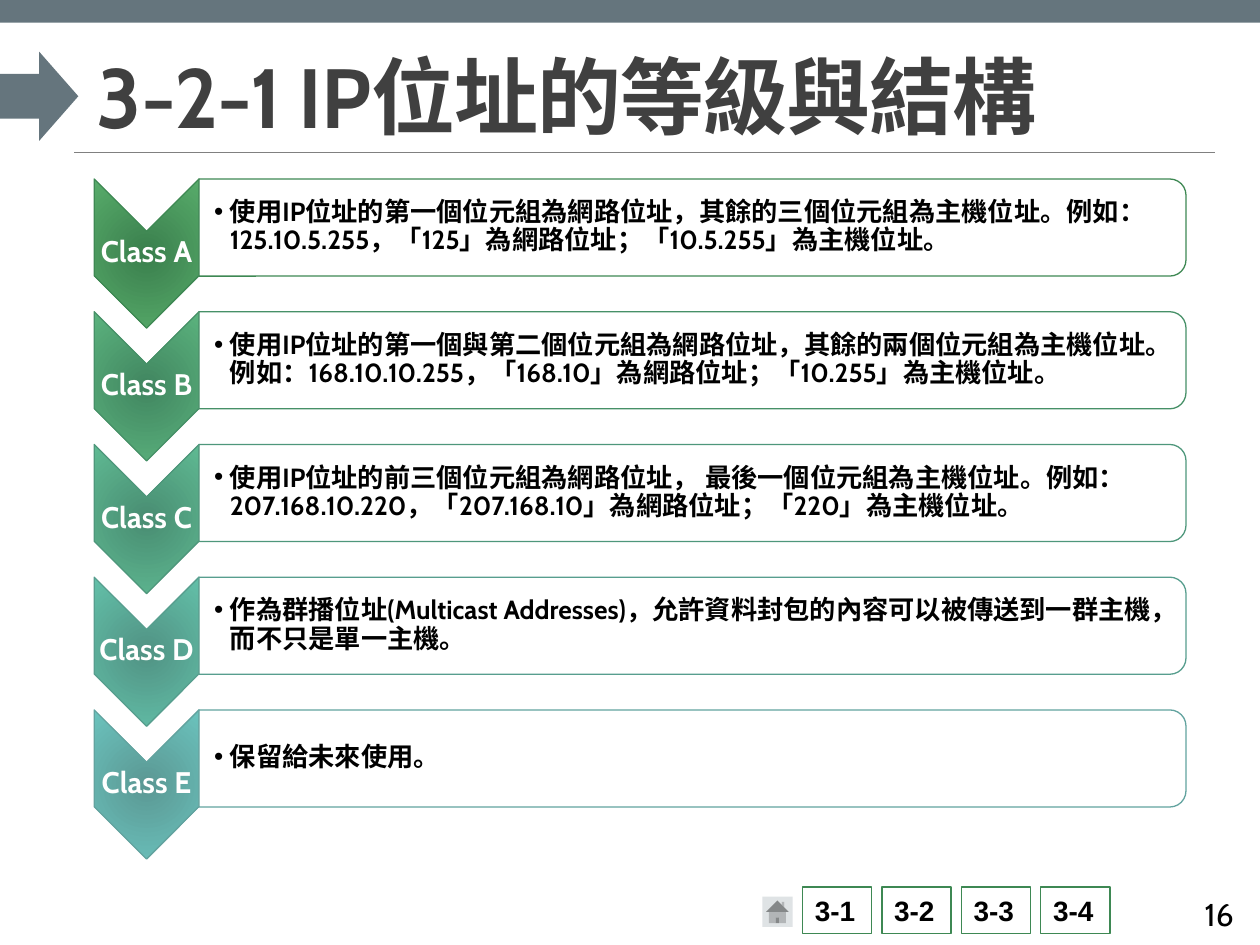
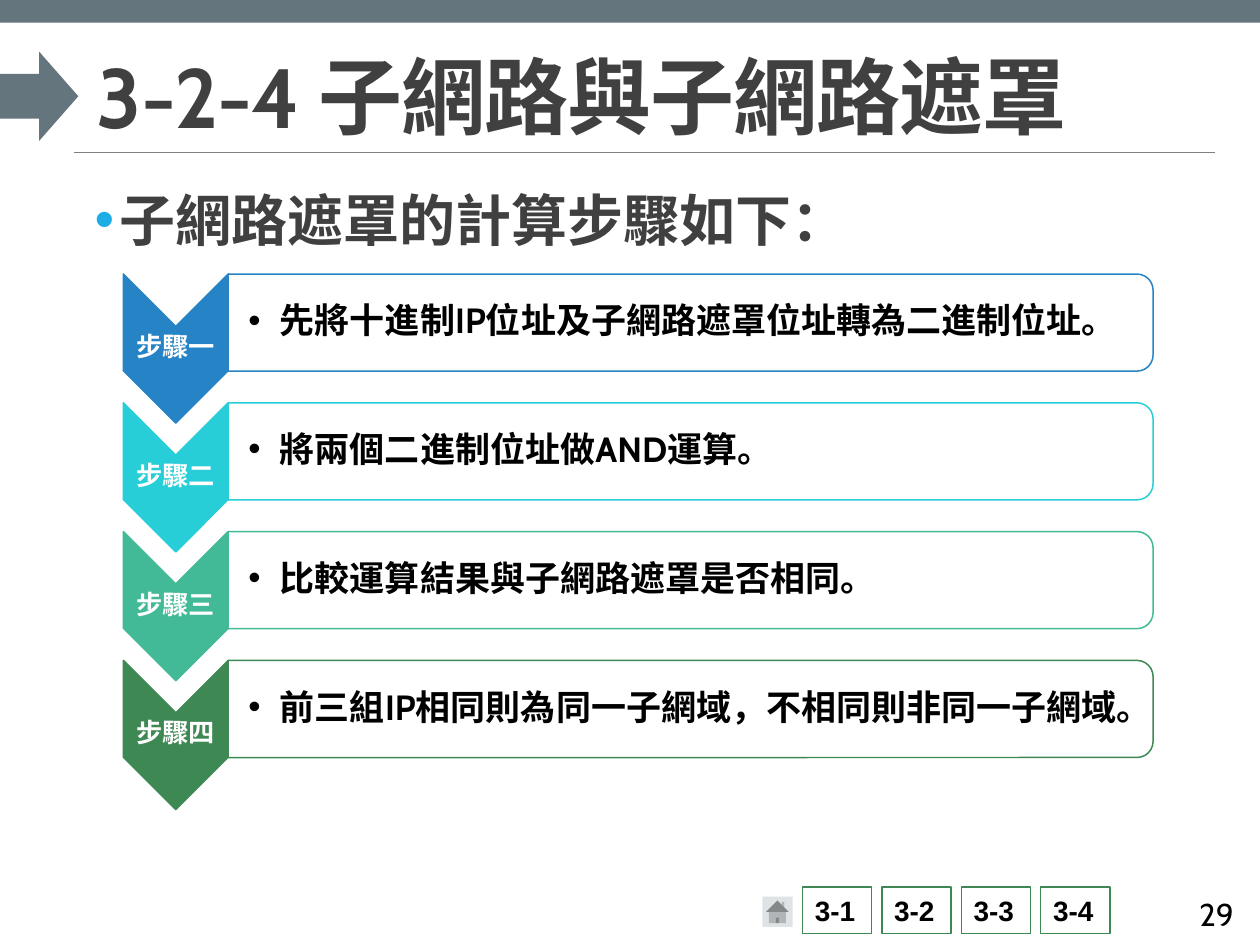
from dataclasses import dataclass

from lxml import etree
from pptx import Presentation
from pptx.dml.color import RGBColor
from pptx.enum.shapes import MSO_CONNECTOR, MSO_SHAPE
from pptx.enum.text import MSO_ANCHOR, MSO_AUTO_SIZE, PP_ALIGN
from pptx.oxml.ns import qn
from pptx.util import Pt

RECT, ARROW = MSO_SHAPE.RECTANGLE, MSO_SHAPE.RIGHT_ARROW
HOME, CHEVRON = MSO_SHAPE.ACTION_BUTTON_HOME, MSO_SHAPE.CHEVRON
ROUNDED_END = MSO_SHAPE.ROUND_2_SAME_RECTANGLE
STRAIGHT = MSO_CONNECTOR.STRAIGHT
LEFT, CENTER, RIGHT, JUSTIFY = PP_ALIGN.LEFT, PP_ALIGN.CENTER, PP_ALIGN.RIGHT, PP_ALIGN.JUSTIFY
TOP, MIDDLE, BOTTOM = MSO_ANCHOR.TOP, MSO_ANCHOR.MIDDLE, MSO_ANCHOR.BOTTOM
NO_FIT = MSO_AUTO_SIZE.NONE
TITLE_ONLY, TITLE_AND_BODY = 5, 1


@dataclass(frozen=True)
class Theme:
    font: str = "Cabin"
    nav_font: str = "Arial"
    ink: str = "000000"
    heading: str = "404040"
    paper: str = "FFFFFF"
    band: str = "65757D"
    rule: str = "808080"
    home: str = "DFE3E5"
    green: str = "3E8853"
    bullet: str = "1CADE4"
    title_size: float = 48
    lead_size: float = 32
    page_size: float = 18
    nav_size: float = 16


@dataclass(frozen=True)
class ListStyle:
    label_size: float
    detail_size: float
    inset: float
    indent: float
    outline: float


THEME = Theme()
CLASS_STYLE = ListStyle(17, 15, 8.64, 9, 0.75)
STEP_STYLE = ListStyle(15, 20, 11.5, 18, 0.85)

CLASSES = [
    ("Class A", "使用IP位址的第一個位元組為網路位址，其餘的三個位元組為主機位址。例如：125.10.5.255，「125」為網路位址；「10.5.255」為主機位址。",
     "3E8853", ("3A7F4D", "58AC6B")),
    ("Class B", "使用IP位址的第一個與第二個位元組為網路位址，其餘的兩個位元組為主機位址。例如：168.10.10.255，「168.10」為網路位址；「10.255」為主機位址。",
     "469067", ("418660", "5BB37E")),
    ("Class C", "使用IP位址的前三個位元組為網路位址， 最後一個位元組為主機位址。例如：207.168.10.220，「207.168.10」為網路位址；「220」為主機位址。",
     "4E977B", ("498D72", "5FBA93")),
    ("Class D", "作為群播位址(Multicast Addresses)，允許資料封包的內容可以被傳送到一群主機，而不只是單一主機。",
     "579E8E", ("519384", "63C0A9")),
    ("Class E", "保留給未來使用。", "62A39F", ("5B9894", "6BC3BD")),
]
STEPS = [
    ("步驟一", "先將十進制IP位址及子網路遮罩位址轉為二進制位址。", "2683C6", None),
    ("步驟二", "將兩個二進制位址做AND運算。", "27CED7", None),
    ("步驟三", "比較運算結果與子網路遮罩是否相同。", "42BA97", None),
    ("步驟四", "前三組IP相同則為同一子網域，不相同則非同一子網域。", "3E8853", None),
]


def apply(target, values):
    for name, value in values.items():
        setattr(target, name, value)


def place(item, box):
    apply(item, dict(zip(("left", "top", "width", "height"), map(Pt, box))))


def write(frame, text, size, color, bold=True, font=THEME.font, align=LEFT,
          anchor=MIDDLE, insets=(7.2, 3.6, 7.2, 3.6), **spacing):
    sides = ("margin_left", "margin_top", "margin_right", "margin_bottom")
    apply(frame, {"word_wrap": True, "auto_size": NO_FIT, "vertical_anchor": anchor,
                  **dict(zip(sides, map(Pt, insets)))})
    paragraph = frame.paragraphs[0]
    apply(paragraph, {"alignment": align, "space_before": Pt(0), "space_after": Pt(0), **spacing})
    run = paragraph.add_run()
    run.text = text
    apply(run.font, {"name": font, "size": Pt(size), "bold": bold})
    run.font.color.rgb = RGBColor.from_string(color)
    return paragraph


def add_bullet(paragraph, indent, color):
    props = paragraph._p.get_or_add_pPr()
    props.set("marL", str(Pt(indent)))
    props.set("indent", str(-Pt(indent)))
    tint = etree.SubElement(props, qn("a:buClr"))
    etree.SubElement(tint, qn("a:srgbClr"), val=color)
    etree.SubElement(props, qn("a:buFont"), typeface="Arial")
    etree.SubElement(props, qn("a:buChar"), char="•")


def add_block(slide, preset, box, fill, line=None, weight=0.85):
    block = slide.shapes.add_shape(preset, *map(Pt, box))
    block.shadow.inherit = False
    block.fill.solid()
    block.fill.fore_color.rgb = RGBColor.from_string(fill)
    if line:
        block.line.color.rgb = RGBColor.from_string(line)
        block.line.width = Pt(weight)
    else:
        block.line.fill.background()
    return block


def add_turned(slide, preset, box, *colors):
    left, top, width, height = box
    shift = (width - height) / 2
    turned = add_block(slide, preset, (left + shift, top - shift, height, width), *colors)
    turned.rotation = 90
    return turned


def add_text(slide, box, *args, **kwargs):
    return write(slide.shapes.add_textbox(*map(Pt, box)).text_frame, *args, **kwargs)


def shade_from_center(block, tones):
    block.fill.gradient()
    for stop, tone in zip(block.fill.gradient_stops, tones):
        stop.color.rgb = RGBColor.from_string(tone)
    gradient = block._element.spPr.find(qn("a:gradFill"))
    gradient.remove(gradient.find(qn("a:lin")))
    rings = etree.SubElement(gradient, qn("a:path"), {"path": "circle"})
    etree.SubElement(rings, qn("a:fillToRect"), {side: "100000" for side in "ltrb"})


def draw_header(slide, title, box=(0, 0, 720, 88)):
    left, top, width, height = box
    add_block(slide, RECT, (left, top, width, 13), THEME.band)
    add_block(slide, ARROW, (left, top + 29.5, 44.8, 51), THEME.band)
    rule_y = Pt(top + height - 0.8)
    rule = slide.shapes.add_connector(STRAIGHT, Pt(left + 42.5), rule_y, Pt(left + 694.5), rule_y)
    rule.line.color.rgb = RGBColor.from_string(THEME.rule)
    rule.line.width = Pt(0.5)
    etree.SubElement(rule._element.spPr, qn("a:effectLst"))
    heading = slide.shapes.title
    place(heading, (left + 48.2, top + 22.3, 646.6, 64.8))
    paragraph = write(heading.text_frame, title, THEME.title_size, THEME.heading,
                      anchor=BOTTOM, line_spacing=0.85)
    paragraph.runs[0]._r.get_or_add_rPr().set("spc", "-50")


def draw_footer(slide, page, box=(435.6, 506.9, 276.5, 28.8)):
    left, top, width, height = box
    add_block(slide, HOME, (left, top + 5.5, 17.3, 17.3), THEME.home)
    for index in range(4):
        section = add_block(slide, RECT, (left + 22.9 + 45.4 * index, top, 39.6, 26.6),
                            THEME.paper, THEME.green)
        write(section.text_frame, f"3-{index + 1}", THEME.nav_size, THEME.ink, font=THEME.nav_font)
    add_text(slide, (left + width - 77.8, top + 0.7, 77.8, height), page,
             THEME.page_size, THEME.ink, bold=False, align=RIGHT)


def draw_row(slide, box, row, style):
    left, top, width, height = box
    label, detail, color, tones = row
    marker_width, bar_height = 59.9, 55.5
    marker = add_turned(slide, CHEVRON, (left, top, marker_width, height),
                        color, color, style.outline)
    if tones:
        shade_from_center(marker, tones)
    add_text(slide, (left, top + 29.5, marker_width, 25.5), label, style.label_size,
             THEME.paper, align=CENTER, insets=(0.9,) * 4, line_spacing=0.9)
    bar_left, bar_width = left + marker_width, width - marker_width
    bar = add_turned(slide, ROUNDED_END, (bar_left, top, bar_width, bar_height),
                     THEME.paper, color, style.outline)
    paper = bar._element.spPr.find(qn("a:solidFill"))[0]
    etree.SubElement(paper, qn("a:alpha"), val="90000")
    paragraph = add_text(slide, (bar_left, top + 2.7, bar_width - 2.7, 49.7), detail,
                         style.detail_size, THEME.ink, insets=(style.inset, 0.9, 0.9, 0.9),
                         line_spacing=0.9)
    add_bullet(paragraph, style.indent, THEME.ink)


def draw_list(slide, box, rows, style):
    left, top, width, height = box
    row_height = 85.2
    pitch = (height - row_height) / (len(rows) - 1)
    for index, row in enumerate(rows):
        draw_row(slide, (left, top + index * pitch, width, row_height), row, style)


def draw_lead(slide, text, box):
    body = slide.placeholders[1]
    place(body, box)
    paragraph = write(body.text_frame, text, THEME.lead_size, THEME.heading, align=JUSTIFY,
                      anchor=TOP, insets=(0, 3.6, 0, 3.6),
                      space_before=Pt(12), space_after=Pt(0.6))
    add_bullet(paragraph, 14.4, THEME.bullet)


def add_slide(deck, layout, title, page):
    slide = deck.slides.add_slide(deck.slide_layouts[layout])
    draw_header(slide, title)
    draw_footer(slide, page)
    return slide


def main():
    deck = Presentation()
    deck.slide_width, deck.slide_height = Pt(720), Pt(540)

    classes = add_slide(deck, TITLE_ONLY, "3-2-1 IP位址的等級與結構", "16")
    draw_list(classes, (53.8, 102.3, 623.9, 388.6), CLASSES, CLASS_STYLE)

    steps = add_slide(deck, TITLE_AND_BODY, "3-2-4 子網路與子網路遮罩", "29")
    draw_lead(steps, "子網路遮罩的計算步驟如下：", (54, 102.2, 604.8, 389.5))
    draw_list(steps, (70.5, 156.6, 588.4, 306), STEPS, STEP_STYLE)

    deck.save("out.pptx")


if __name__ == "__main__":
    main()
